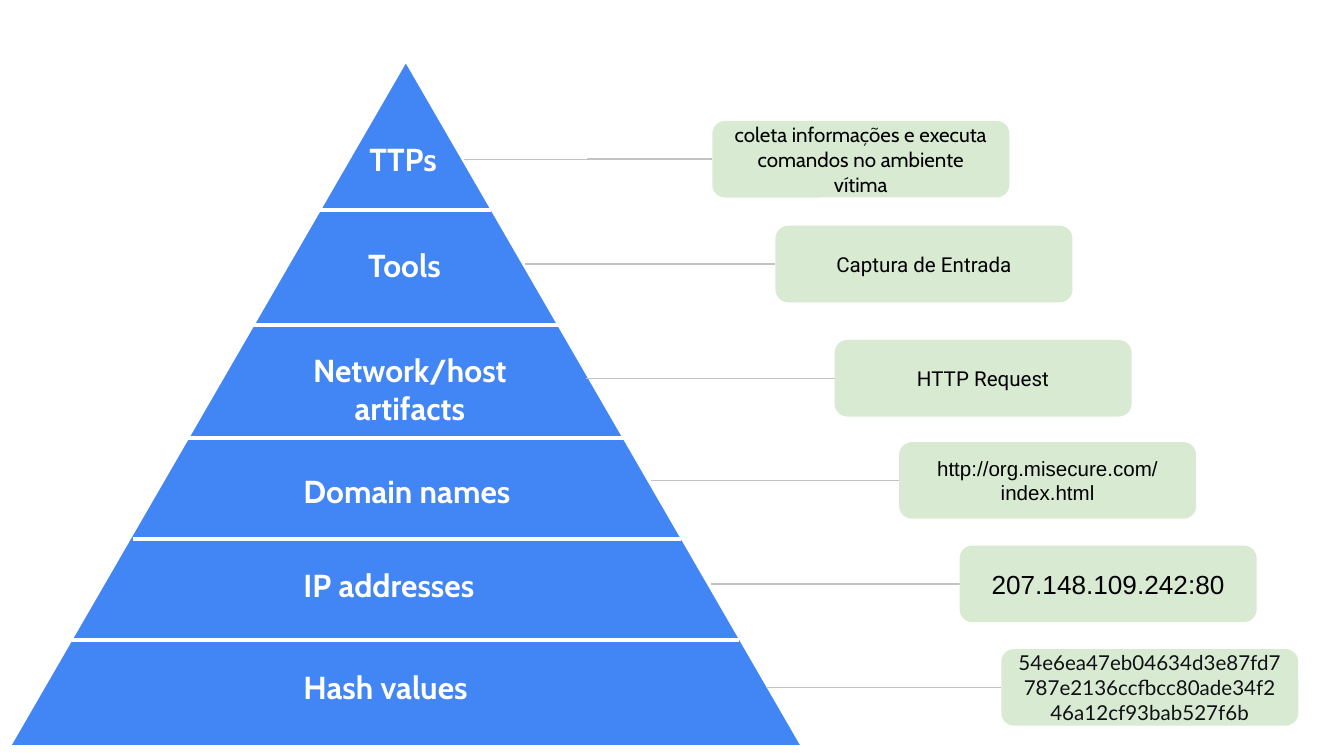
from dataclasses import dataclass

from pptx import Presentation
from pptx.dml.color import RGBColor
from pptx.enum.shapes import MSO_CONNECTOR as Connector, MSO_SHAPE as Shape
from pptx.enum.text import MSO_ANCHOR as Anchor, MSO_AUTO_SIZE as AutoSize, PP_ALIGN as Align
from pptx.oxml.ns import qn
from pptx.util import Inches, Pt


@dataclass(frozen=True)
class Theme:
    blue: str = "4285F4"
    white: str = "FFFFFF"
    green: str = "D9EAD3"
    grey: str = "C2C2C2"
    black: str = "000000"
    ink: str = "0F1114"
    level_font: str = "Cabin"
    level_size: int = 17
    example_size: int = 11
    address_size: int = 14
    divider_width: float = 2.25
    leader_width: float = 0.75


THEME = Theme()
EXAMPLE_WIDTH, EXAMPLE_HEIGHT = 2.21, 0.57

# Left end, right end and height of each line between two levels
DIVIDERS = [
    (2.38, 3.65, 1.56),
    (1.88, 4.17, 2.42),
    (1.39, 4.64, 3.26),
    (0.99, 5.07, 4.01),
    (0.53, 5.50, 4.76),
]

# Name, left, top, width, height, alignment
LEVELS = [
    ("TTPs", 2.65, 0.94, 0.88, 0.49, Align.LEFT),
    ("Tools", 2.64, 1.73, 0.88, 0.49, Align.LEFT),
    ("Network/host artifacts", 1.96, 2.51, 2.18, 0.77, Align.CENTER),
    ("Domain names", 2.16, 3.41, 2.24, 0.49, Align.LEFT),
    ("IP addresses", 2.16, 4.11, 2.24, 0.49, Align.LEFT),
    ("Hash values", 2.16, 4.87, 2.24, 0.49, Align.LEFT),
]

# Text, leader start, box left, box top, font, size, colour
EXAMPLES = [
    ("coleta informações e executa comandos no ambiente vítima",
     3.45, 5.30, 0.90, "Cabin", THEME.example_size, THEME.black),
    ("Captura de Entrada",
     3.91, 5.77, 1.68, "Roboto", THEME.example_size, THEME.black),
    ("HTTP Request",
     4.36, 6.21, 2.53, "Roboto", THEME.example_size, THEME.black),
    ("http://org.misecure.com/index.html",
     4.84, 6.69, 3.29, "Arial", THEME.example_size, THEME.black),
    ("207.148.109.242:80",
     5.29, 7.14, 4.06, "Arial", THEME.address_size, THEME.black),
    ("54e6ea47eb04634d3e87fd7787e2136ccfbcc80ade34f246a12cf93bab527f6b",
     5.70, 7.45, 4.83, "Lato", THEME.example_size, THEME.ink),
]


def rgb(colour):
    return RGBColor.from_string(colour)


def write(frame, text, font, size, colour, align, bold=False):
    frame.word_wrap = True
    frame.margin_left = frame.margin_right = Inches(0.1)
    frame.margin_top = frame.margin_bottom = Inches(0.1)
    paragraph = frame.paragraphs[0]
    paragraph.alignment = align
    run = paragraph.add_run()
    run.text = text
    run.font.name = font
    run.font.size = Pt(size)
    run.font.bold = bold
    run.font.color.rgb = rgb(colour)


def add_filled(shapes, preset, left, top, width, height, colour):
    filled = shapes.add_shape(
        preset, Inches(left), Inches(top), Inches(width), Inches(height))
    filled.shadow.inherit = False
    filled.fill.solid()
    filled.fill.fore_color.rgb = rgb(colour)
    return filled


def add_line(shapes, kind, start, end, y, colour, width):
    line = shapes.add_connector(kind, Inches(start), Inches(y), Inches(end), Inches(y))
    line.line.color.rgb = rgb(colour)
    line.line.width = Pt(width)
    properties = line._element.spPr
    properties.append(properties.makeelement(qn("a:effectLst"), {}))
    return line


def add_pyramid(slide):
    pyramid = slide.shapes.add_group_shape()
    body = add_filled(pyramid.shapes, Shape.ISOSCELES_TRIANGLE,
                      0.06, 0.44, 5.92, 5.12, THEME.blue)
    body.line.color.rgb = rgb(THEME.white)
    body.line.width = Pt(THEME.divider_width)
    for start, end, y in DIVIDERS:
        add_line(pyramid.shapes, Connector.STRAIGHT, start, end, y,
                 THEME.white, THEME.divider_width)


def add_level(slide, name, left, top, width, height, align):
    level = slide.shapes.add_textbox(
        Inches(left), Inches(top), Inches(width), Inches(height))
    write(level.text_frame, name, THEME.level_font, THEME.level_size,
          THEME.white, align, bold=True)
    level.text_frame.auto_size = AutoSize.SHAPE_TO_FIT_TEXT


def add_example(slide, text, leader_start, left, top, font, size, colour):
    leader = add_line(slide.shapes, Connector.ELBOW, leader_start, left,
                      top + EXAMPLE_HEIGHT / 2, THEME.grey, THEME.leader_width)
    example = add_filled(slide.shapes, Shape.ROUNDED_RECTANGLE, left, top,
                         EXAMPLE_WIDTH, EXAMPLE_HEIGHT, THEME.green)
    example.line.fill.background()
    example.text_frame.vertical_anchor = Anchor.MIDDLE
    write(example.text_frame, text, font, size, colour, Align.CENTER)
    leader.end_connect(example, 1)


def main():
    # Widescreen page, 16 by 9
    deck = Presentation()
    deck.slide_width = Inches(10)
    deck.slide_height = Inches(10 * 9 / 16)
    slide = deck.slides.add_slide(deck.slide_layouts[6])

    # Pyramid with its dividers
    add_pyramid(slide)

    # Level names
    for level in LEVELS:
        add_level(slide, *level)

    # Example for each level, with its leader
    for example in EXAMPLES:
        add_example(slide, *example)

    deck.save("out.pptx")


if __name__ == "__main__":
    main()
